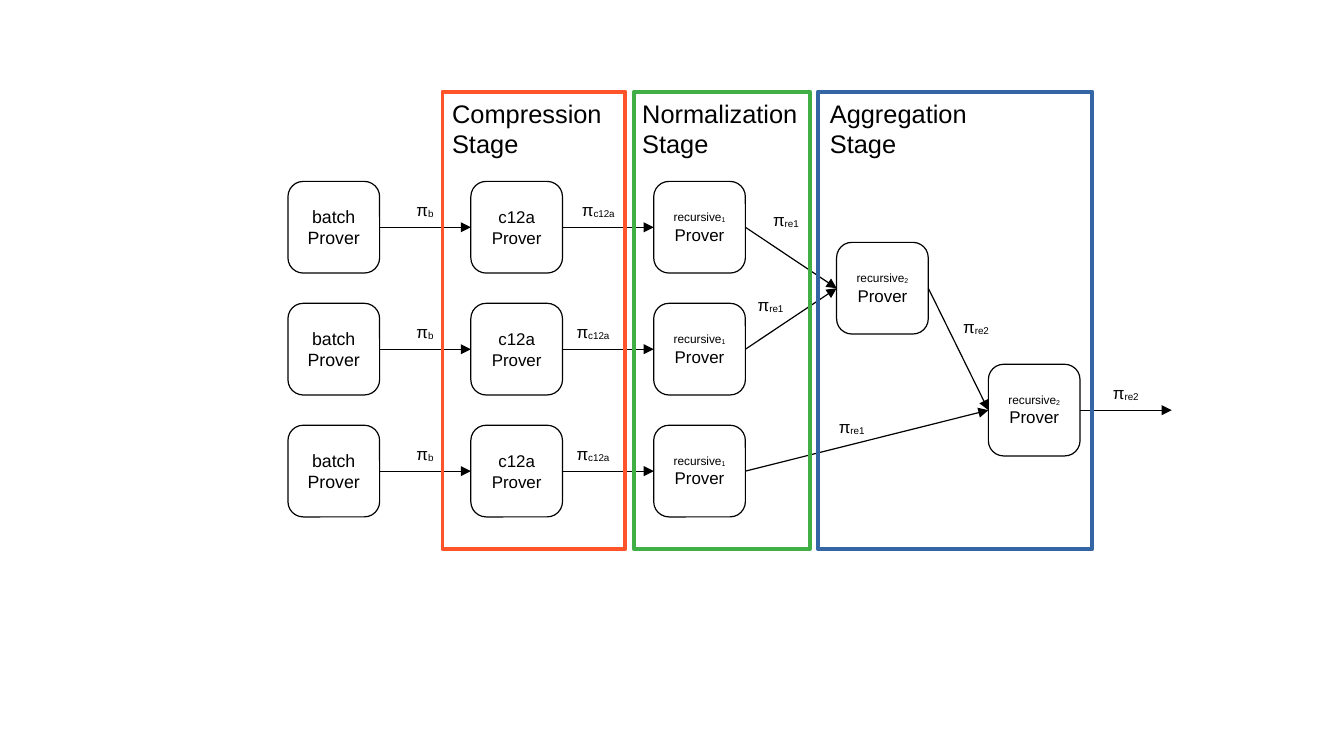
"""Builds the slide of the proof pipeline: compression, normalization and aggregation."""
from dataclasses import dataclass

from lxml import etree
from pptx import Presentation
from pptx import util as u
from pptx.dml import color
from pptx.enum import shapes, text
from pptx.oxml import ns


@dataclass(frozen=True)
class Theme:
    font: str = "Arial"
    ink: str = "000000"
    paper: str = "FFFFFF"
    compression: str = "FF5429"
    normalization: str = "3FAF46"
    aggregation: str = "3465A4"
    heading: float = 15
    batch: float = 10.5
    body: float = 10
    small: float = 7
    thin: float = 0.71
    thick: float = 2.3


theme = Theme()


def rgb(code):
    return color.RGBColor.from_string(code)


def write(shape, *lines, align=text.PP_ALIGN.CENTER, anchor=text.MSO_ANCHOR.MIDDLE):
    """Write lines given as (words, subscript, size)."""
    frame = shape.text_frame
    frame.word_wrap = True
    frame.vertical_anchor = anchor
    for index, (words, subscript, size) in enumerate(lines):
        paragraph = frame.add_paragraph() if index else frame.paragraphs[0]
        paragraph.alignment = align
        for part in filter(None, (words, subscript)):
            run = paragraph.add_run()
            run.text = part
            run.font.name = theme.font
            run.font.size = u.Pt(size)
            run.font.color.rgb = rgb(theme.ink)
        if subscript:
            run._r.get_or_add_rPr().set("baseline", "-8000")


deck = Presentation()
deck.slide_width, deck.slide_height = u.Cm(28), u.Cm(15.75)
slide = deck.slides.add_slide(deck.slide_layouts[6])

side, left, top = 1.91, 6, 3.78
column_step, row_step = 3.81, 2.54
kinds = {
    "batch": ("batch", "", theme.batch, theme.batch),
    "c12a": ("c12a", "", theme.body, theme.body),
    "recursive1": ("recursive", "1", theme.small, theme.body),
    "recursive2": ("recursive", "2", theme.small, theme.body),
}

places = [(kind, row, column, row)
          for row in range(3)
          for column, kind in enumerate(("batch", "c12a", "recursive1"))]
places += [("recursive2", 0, 3, 0.5), ("recursive2", 1, 3.83, 1.5)]

provers = {}
for kind, number, column, row in places:
    prover = slide.shapes.add_shape(
        shapes.MSO_SHAPE.ROUNDED_RECTANGLE,
        u.Cm(left + column * column_step), u.Cm(top + row * row_step), u.Cm(side), u.Cm(side))
    prover.shadow.inherit = False
    prover.fill.solid()
    prover.fill.fore_color.rgb = rgb(theme.paper)
    prover.line.color.rgb = rgb(theme.ink)
    prover.line.width = u.Pt(theme.thin)
    name, subscript, name_size, prover_size = kinds[kind]
    write(prover, (name, subscript, name_size), ("Prover", "", prover_size))
    provers[kind, number] = prover

flows = [((start, row), (end, row))
         for row in range(3)
         for start, end in (("batch", "c12a"), ("c12a", "recursive1"))]
flows += [
    (("recursive1", 0), ("recursive2", 0)),
    (("recursive1", 1), ("recursive2", 0)),
    (("recursive1", 2), ("recursive2", 1)),
    (("recursive2", 0), ("recursive2", 1)),
    (("recursive2", 1), None),
]
for start, end in flows:
    source = provers[start]
    exit_x, exit_y = source.left + source.width, source.top + source.height // 2
    arrow = slide.shapes.add_connector(
        shapes.MSO_CONNECTOR.STRAIGHT, exit_x, exit_y, exit_x + u.Cm(side), exit_y)
    arrow.begin_connect(source, 3)
    if end:
        arrow.end_connect(provers[end], 1)
    arrow.line.color.rgb = rgb(theme.ink)
    arrow.line.width = u.Pt(theme.thin)
    properties = arrow._element.spPr
    etree.SubElement(properties.find(ns.qn("a:ln")), ns.qn("a:tailEnd"), type="triangle")
    etree.SubElement(properties, ns.qn("a:effectLst"))

proofs = [("b", 7.9, 4.01 + row * row_step) for row in range(3)]
proofs += [("c12a", x, 4.01 + row * row_step) for row, x in enumerate((11.51, 11.4, 11.4))]
proofs += [("re1", 15.42, 4.22), ("re1", 15.1, 5.99), ("re1", 16.79, 8.53),
           ("re2", 19.38, 6.45), ("re2", 22.5, 7.82)]
for subscript, x, y in proofs:
    proof = slide.shapes.add_textbox(u.Cm(x), u.Cm(y), u.Cm(side), u.Cm(0.71))
    write(proof, ("π", subscript, theme.body))

stages = [
    ("Compression", theme.compression, 9.22, 3.81, 9.17),
    ("Normalization", theme.normalization, 13.21, 3.66, 13.13),
    ("Aggregation", theme.aggregation, 17.04, 5.72, 17.04),
]
for name, tint, x, width, heading_x in stages:
    stage = slide.shapes.add_shape(
        shapes.MSO_SHAPE.RECTANGLE, u.Cm(x), u.Cm(1.91), u.Cm(width), u.Cm(9.53))
    stage.shadow.inherit = False
    stage.fill.background()
    stage.line.color.rgb = rgb(tint)
    stage.line.width = u.Pt(theme.thick)
    heading = slide.shapes.add_textbox(u.Cm(heading_x), u.Cm(1.92), u.Cm(4.55), u.Cm(1.5))
    write(heading, (name, "", theme.heading), ("Stage", "", theme.heading),
          align=text.PP_ALIGN.LEFT, anchor=text.MSO_ANCHOR.TOP)

deck.save("out.pptx")
